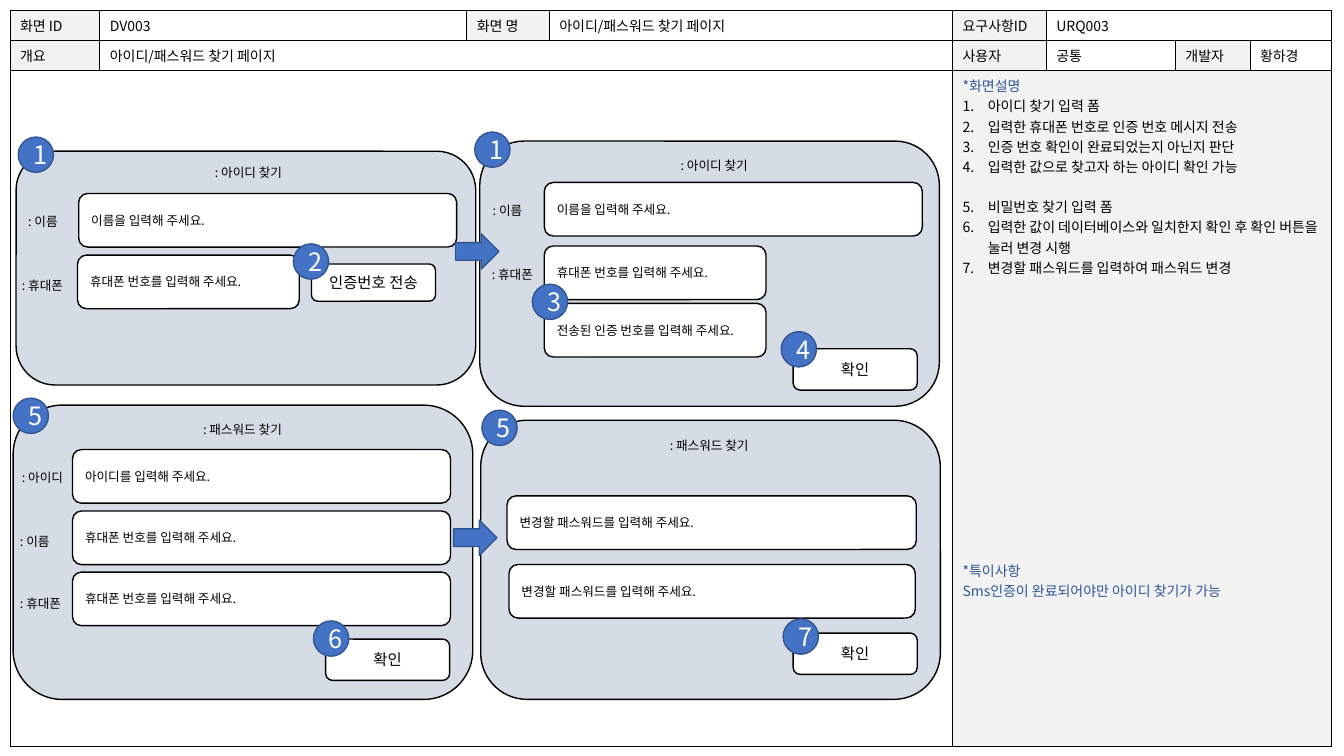
from dataclasses import dataclass

from lxml import etree
from pptx import Presentation
from pptx.dml.color import RGBColor
from pptx.enum import shapes, text
from pptx.oxml import ns
from pptx.util import Pt

SHAPE = shapes.MSO_SHAPE
ALIGN = text.PP_ALIGN
MIDDLE = text.MSO_ANCHOR.MIDDLE


@dataclass(frozen=True)
class Theme:
    font: str = "Noto Sans CJK KR"
    ink: str = "000000"
    paper: str = "FFFFFF"
    shade: str = "F2F2F2"
    panel: str = "D6DCE5"
    accent: str = "4472C4"
    accent_edge: str = "325491"
    heading: str = "2F5597"
    form_size: float = 9
    table_size: float = 10
    button_size: float = 11
    badge_size: float = 18


class Wireframe:
    def __init__(self, page, theme):
        self.page = page
        self.theme = theme

    def style(self, para, size, color, align=ALIGN.LEFT):
        para.alignment = align
        para.font.size = Pt(size)
        para.font.color.rgb = RGBColor.from_string(color)
        para.font.name = self.theme.font
        defaults = para._p.get_or_add_pPr().get_or_add_defRPr()
        etree.SubElement(defaults, ns.qn("a:ea"), typeface=self.theme.font)

    def shape(self, kind, place, fill, line):
        box = self.page.shapes.add_shape(kind, *map(Pt, place))
        box.shadow.inherit = False
        box.fill.solid()
        box.fill.fore_color.rgb = RGBColor.from_string(fill)
        box.line.color.rgb = RGBColor.from_string(line)
        box.line.width = Pt(1)
        return box

    def set_words(self, box, words, size, color, align=ALIGN.LEFT):
        frame = box.text_frame
        frame.word_wrap = True
        frame.text = words
        self.style(frame.paragraphs[0], size, color, align)

    def panel(self, *place):
        self.shape(SHAPE.ROUNDED_RECTANGLE, place, self.theme.panel, self.theme.ink)

    def label(self, words, left, top, width=64.8, align=ALIGN.LEFT):
        box = self.page.shapes.add_textbox(Pt(left), Pt(top), Pt(width), Pt(18))
        self.set_words(box, words, self.theme.form_size, self.theme.ink, align)

    def field(self, words, left, top, width):
        box = self.shape(SHAPE.ROUNDED_RECTANGLE, (left, top, width, 38.3),
                         self.theme.paper, self.theme.ink)
        self.set_words(box, words, self.theme.form_size, self.theme.ink)

    def button(self, words, left, top, height=29.5):
        box = self.shape(SHAPE.ROUNDED_RECTANGLE, (left, top, 88.6, height),
                         self.theme.paper, self.theme.ink)
        self.set_words(box, words, self.theme.button_size, self.theme.ink, ALIGN.CENTER)

    def arrow(self, left, top):
        self.shape(SHAPE.RIGHT_ARROW, (left, top, 31, 25.2),
                   self.theme.accent, self.theme.accent_edge)

    def badge(self, number, left, top):
        box = self.shape(SHAPE.OVAL, (left, top, 25.2, 25.2),
                         self.theme.accent, self.theme.accent_edge)
        self.set_words(box, str(number), self.theme.badge_size, self.theme.paper, ALIGN.CENTER)

    def table(self, left, top, widths, heights):
        frame = self.page.shapes.add_table(
            len(heights), len(widths), Pt(left), Pt(top), Pt(sum(widths)), Pt(sum(heights)))
        table = frame.table
        table.first_row = table.horz_banding = False
        for column, width in zip(table.columns, widths):
            column.width = Pt(width)
        for row, height in zip(table.rows, heights):
            row.height = Pt(height)
        return table

    def cell(self, cell, fill):
        """Fill a cell and rule all four of its sides."""
        cell.fill.solid()
        cell.fill.fore_color.rgb = RGBColor.from_string(fill)
        properties = cell._tc.get_or_add_tcPr()
        for index, side in enumerate(("lnL", "lnR", "lnT", "lnB")):
            line = etree.Element(ns.qn(f"a:{side}"), w=str(Pt(0.5)))
            solid = etree.SubElement(line, ns.qn("a:solidFill"))
            etree.SubElement(solid, ns.qn("a:srgbClr"), val=self.theme.ink)
            properties.insert(index, line)

    def notes(self, cell, heading, steps, remark_heading, remark):
        """Put in the numbered description and the remark below it."""
        theme = self.theme
        frame = cell.text_frame
        frame.text = "\n".join([heading, *steps, remark_heading, remark])
        paras = frame.paragraphs
        for para in paras:
            numbered = para.text in steps
            self.style(para, theme.table_size, theme.ink if numbered else theme.heading)
            if numbered:
                properties = para._p.get_or_add_pPr()
                properties.set("marL", str(Pt(18)))
                properties.set("indent", str(Pt(-18)))
                number = etree.Element(ns.qn("a:buAutoNum"), type="arabicPeriod")
                properties.find(ns.qn("a:defRPr")).addprevious(number)
        paras[5].space_before = Pt(14.4)
        paras[-2].space_before = Pt(202)


PAGE_NAME = "아이디/패스워드 찾기 페이지"
COLUMNS = [64.1, 262.1, 59, 288, 67, 92.2, 53.3, 58.3]
HEADER = [
    ["화면 ID", "DV003", "화면 명", PAGE_NAME, "요구사항ID", "URQ003"],
    ["개요", PAGE_NAME, "", "", "사용자", "공통", "개발자", "황하경"],
]
CAPTIONS = {"화면 ID", "화면 명", "요구사항ID", "개요", "사용자", "개발자"}
STEPS = [
    "아이디 찾기 입력 폼",
    "입력한 휴대폰 번호로 인증 번호 메시지 전송",
    "인증 번호 확인이 완료되었는지 아닌지 판단",
    "입력한 값으로 찾고자 하는 아이디 확인 가능",
    "비밀번호 찾기 입력 폼",
    "입력한 값이 데이터베이스와 일치한지 확인 후 확인 버튼을 눌러 변경 시행",
    "변경할 패스워드를 입력하여 패스워드 변경",
]
PANELS = [(11.5, 108, 167), (9.4, 289.4, 210.2), (342.7, 100.8, 189.4), (343.4, 300.2, 199.4)]
FIND_ID, FIND_PASSWORD = ": 아이디 찾기", ": 패스워드 찾기"
TITLES = [(FIND_ID, 15.8, 114.5), (FIND_PASSWORD, 11.5, 298.1),
          (FIND_ID, 348.5, 109.4), (FIND_PASSWORD, 344.9, 308.9)]
LABELS = [
    (": 이름", 13, 149), (": 휴대폰", 8.6, 195.1),
    (": 아이디", 8.6, 331.9), (": 이름", 7.2, 378), (": 휴대폰", 7.2, 421.9),
    (": 이름", 344.9, 141.1), (": 휴대폰", 344.2, 187.2),
]
ASK_NAME = "이름을 입력해 주세요."
ASK_PHONE = "휴대폰 번호를 입력해 주세요."
ASK_PASSWORD = "변경할 패스워드를 입력해 주세요."
WIDE, NARROW = 270, 158.4
FIELDS = [
    (ASK_NAME, 56.2, 138.2, WIDE), (ASK_PHONE, 55.4, 182.2, NARROW),
    ("아이디를 입력해 주세요.", 51.8, 321.1, WIDE),
    (ASK_PHONE, 51.8, 365, WIDE), (ASK_PHONE, 51.8, 408.6, WIDE),
    (ASK_NAME, 388.8, 130.3, WIDE),
    ("전송된 인증 번호를 입력해 주세요.", 388.8, 216.7, NARROW),
    (ASK_PHONE, 388.8, 175.7, NARROW),
    (ASK_PASSWORD, 362.2, 354.2, 292.3), (ASK_PASSWORD, 363.6, 403.2, 290.2),
]
BUTTONS = [("인증번호 전송", 222.5, 188.6, 26.6), ("확인", 232.6, 456.5),
           ("확인", 566.6, 249.1), ("확인", 566.6, 452.2)]
ARROWS = [(325.4, 167), (324, 371.5)]
BADGES = [
    (1, 13, 97.9), (1, 339.1, 94.3), (2, 209.5, 174.2), (3, 380.2, 203), (4, 558, 236.9),
    (5, 9.4, 284.4), (5, 344.2, 293), (6, 223.9, 443.5), (7, 559.4, 442.1),
]


def add_sheet(wireframe):
    """Draw the framing table with its header and description."""
    theme = wireframe.theme
    table = wireframe.table(7.2, 7.2, COLUMNS, [20.2, 20.9, 482.4])
    for row, first, last in [(0, 5, 7), (1, 1, 3), (2, 0, 3), (2, 4, 7)]:
        table.cell(row, first).merge(table.cell(row, last))
    for row, entries in enumerate(HEADER):
        for column, words in enumerate(entries):
            if words:
                cell = table.cell(row, column)
                cell.text = words
                cell.vertical_anchor = MIDDLE
                wireframe.style(cell.text_frame.paragraphs[0], theme.table_size, theme.ink)
    for row in range(3):
        for column in range(len(COLUMNS)):
            cell = table.cell(row, column)
            shaded = cell.text in CAPTIONS or (row == 2 and column >= 4)
            wireframe.cell(cell, theme.shade if shaded else theme.paper)
    wireframe.notes(table.cell(2, 4), "*화면설명", STEPS, "*특이사항",
                    "Sms인증이 완료되어야만 아이디 찾기가 가능")


def main():
    deck = Presentation()
    deck.slide_width, deck.slide_height = Pt(960), Pt(540)
    wireframe = Wireframe(deck.slides.add_slide(deck.slide_layouts[6]), Theme())
    add_sheet(wireframe)
    for left, top, height in PANELS:
        wireframe.panel(left, top, 328.3, height)
    for words, left, top in TITLES:
        wireframe.label(words, left, top, 323.3, ALIGN.CENTER)
    for draw, items in [(wireframe.label, LABELS), (wireframe.field, FIELDS),
                        (wireframe.button, BUTTONS), (wireframe.arrow, ARROWS),
                        (wireframe.badge, BADGES)]:
        for item in items:
            draw(*item)
    deck.save("out.pptx")


if __name__ == "__main__":
    main()
